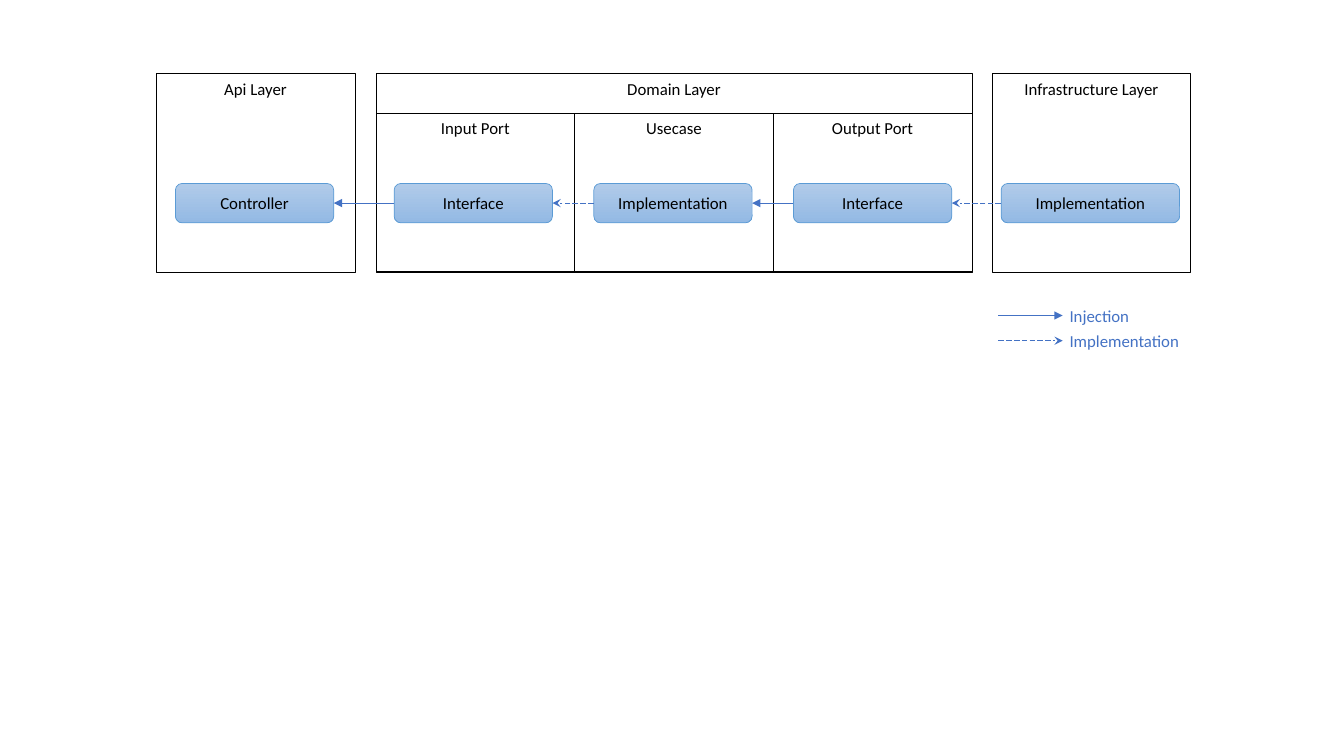
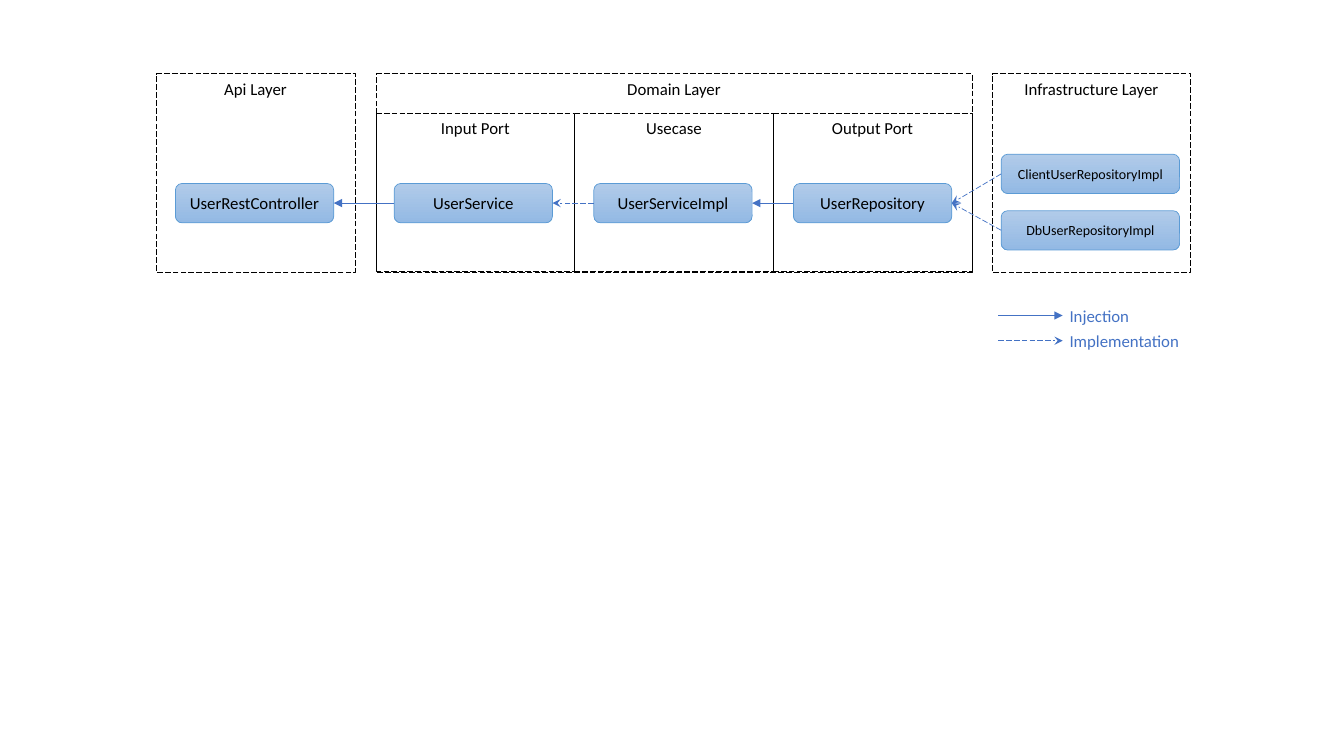
from lxml import etree
from pptx import Presentation
from pptx.dml.color import RGBColor
from pptx.enum import dml, shapes, text
from pptx.oxml.ns import qn
from pptx.util import Inches, Pt

BLACK = RGBColor(0x00, 0x00, 0x00)
ARROW_BLUE = RGBColor(0x44, 0x72, 0xC4)
BORDER_BLUE = RGBColor(0x5B, 0x9B, 0xD5)
GRADIENT = (RGBColor(0xB1, 0xCB, 0xE9), RGBColor(0x93, 0xB9, 0xE4))

FRAME_TOP, FRAME_SIZE = 0.73, 1.97
DOMAIN_LEFT, PORT_TOP, PORT_HEIGHT = 3.73, 1.12, 1.57
PORTS = ("Input Port", "Usecase", "Output Port")
BOX_TOP, BOX_WIDTH, BOX_HEIGHT = 1.82, 1.57, 0.39
CONTROLLER_LEFT, PORT_BOX_LEFT, PORT_BOX_STEP = 1.74, 3.91, 1.98
ADAPTER_LEFT, ADAPTER_WIDTH = 9.93, 1.77
LEFT_SITE, RIGHT_SITE = 1, 3

ARROWS = {
    "Injection": {"head": "triangle", "dash": None},
    "Implementation": {"head": "stealth", "dash": dml.MSO_LINE.LONG_DASH},
}


class Diagram:
    """Draws the layers, boxes and arrows of one slide in a shared style."""

    font_name = "Calibri"
    line_width = Pt(0.5)

    def __init__(self, deck):
        self.page = deck.slides.add_slide(deck.slide_layouts[6])

    def add_words(self, shape, words, size=12, color=BLACK, align=text.PP_ALIGN.CENTER):
        para = shape.text_frame.paragraphs[0]
        para.alignment = align
        span = para.add_run()
        span.text = words
        for name, value in {"name": self.font_name, "size": Pt(size)}.items():
            setattr(span.font, name, value)
        span.font.color.rgb = color

    def stroke(self, shape, color, dash=None):
        shape.line.color.rgb = color
        shape.line.width = self.line_width
        if dash:
            shape.line.dash_style = dash

    def rounded(self, words, place, anchor, size=12):
        shape = self.page.shapes.add_shape(
            shapes.MSO_SHAPE.ROUNDED_RECTANGLE, *map(Inches, place))
        shape.shadow.inherit = False
        shape.text_frame.vertical_anchor = anchor
        self.add_words(shape, words, size)
        return shape

    def frame(self, words, left, top, width, height, dash):
        shape = self.rounded(words, (left, top, width, height), text.MSO_ANCHOR.TOP)
        shape.adjustments[0] = 0
        shape.fill.background()
        self.stroke(shape, BLACK, dash)

    def box(self, words, left, top=BOX_TOP, width=BOX_WIDTH, size=12):
        shape = self.rounded(
            words, (left, top, width, BOX_HEIGHT), text.MSO_ANCHOR.MIDDLE, size)
        shape.fill.gradient()
        shape.fill.gradient_angle = 270
        for stop, color in zip(shape.fill.gradient_stops, GRADIENT):
            stop.color.rgb = color
        self.stroke(shape, BORDER_BLUE)
        return shape

    def arrow(self, kind, start=(0, 0), end=(0, 0)):
        line = self.page.shapes.add_connector(
            shapes.MSO_CONNECTOR.STRAIGHT, *map(Inches, (*start, *end)))
        self.stroke(line, ARROW_BLUE, ARROWS[kind]["dash"])
        properties = line.element.spPr
        etree.SubElement(properties.find(qn("a:ln")), qn("a:tailEnd"),
                         type=ARROWS[kind]["head"])
        etree.SubElement(properties, qn("a:effectLst"))
        return line

    def link(self, kind, source, target):
        """Join the left side of source to the right side of target."""
        line = self.arrow(kind)
        line.begin_connect(source, LEFT_SITE)
        line.end_connect(target, RIGHT_SITE)

    def label(self, words, left, top, width, height):
        shape = self.page.shapes.add_textbox(*map(Inches, (left, top, width, height)))
        shape.text_frame.word_wrap = False
        shape.text_frame.auto_size = text.MSO_AUTO_SIZE.SHAPE_TO_FIT_TEXT
        self.add_words(shape, words, color=ARROW_BLUE, align=text.PP_ALIGN.LEFT)

    def layers(self, dash):
        for name, left, width in (
            ("Api Layer", 1.55, FRAME_SIZE),
            ("Domain Layer", DOMAIN_LEFT, len(PORTS) * FRAME_SIZE),
            ("Infrastructure Layer", 9.84, FRAME_SIZE),
        ):
            self.frame(name, left, FRAME_TOP, width, FRAME_SIZE, dash)
        for index, name in enumerate(PORTS):
            self.frame(name, DOMAIN_LEFT + index * FRAME_SIZE, PORT_TOP,
                       FRAME_SIZE, PORT_HEIGHT, dash)

    def flow(self, controller, ports, adapters):
        """Draw the boxes from controller to adapters, with their arrows."""
        chain = [self.box(controller, CONTROLLER_LEFT)]
        chain += [self.box(name, PORT_BOX_LEFT + index * PORT_BOX_STEP)
                  for index, name in enumerate(ports)]
        kinds = ("Injection", "Implementation", "Injection")
        for kind, source, target in zip(kinds, chain[1:], chain):
            self.link(kind, source, target)
        for name, top, size in adapters:
            adapter = self.box(name, ADAPTER_LEFT, top, ADAPTER_WIDTH, size)
            self.link("Implementation", adapter, chain[-1])

    def legend(self):
        for kind, y, width in (("Injection", 3.13, 0.8), ("Implementation", 3.38, 1.3)):
            self.arrow(kind, (9.9, y), (10.54, y))
            self.label(kind, 10.51, y - 0.15, width, 0.3)


def main():
    deck = Presentation()
    deck.slide_width, deck.slide_height = Inches(13.33), Inches(7.5)
    diagrams = (
        (None, "Controller", ("Interface", "Implementation", "Interface"),
         [("Implementation", BOX_TOP, 12)]),
        (dml.MSO_LINE.LONG_DASH, "UserRestController",
         ("UserService", "UserServiceImpl", "UserRepository"),
         [("ClientUserRepositoryImpl", 1.53, 10), ("DbUserRepositoryImpl", 2.09, 10)]),
    )
    for dash, controller, ports, adapters in diagrams:
        diagram = Diagram(deck)
        diagram.layers(dash)
        diagram.flow(controller, ports, adapters)
        diagram.legend()
    deck.save("out.pptx")


if __name__ == "__main__":
    main()
